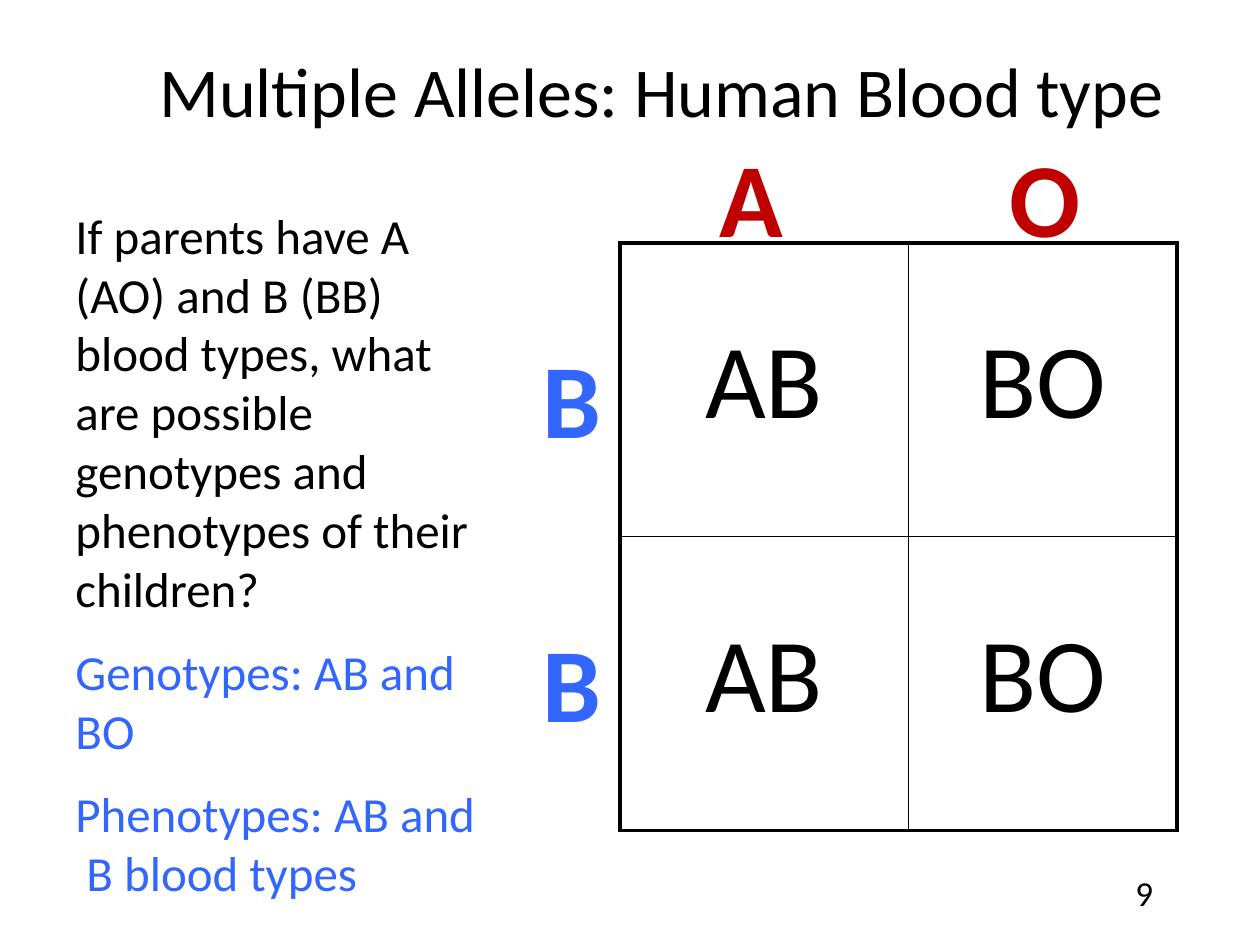
from lxml.etree import SubElement as Sub
from pptx import Presentation as Deck
from pptx.dml.color import RGBColor as Rgb
from pptx.enum.text import MSO_ANCHOR as Anchor, PP_ALIGN as Align
from pptx.oxml.ns import qn
from pptx.util import Inches, Pt

HUES = {"black": "000000", "white": "FFFFFF", "red": "C00000", "blue": "3366FF"}


class Page:
    font = "Calibri"

    def __init__(self, slide):
        self.slide = slide

    def label(self, par, text, size, hue="black", bold=False, align=Align.LEFT):
        par.alignment = align
        run = par.add_run()
        run.text = text
        form = {"name": self.font, "size": Pt(size), "bold": bold}
        for key, val in form.items():
            setattr(run.font, key, val)
        run.font.color.rgb = Rgb.from_string(HUES[hue])

    def text(self, box, lines, size, anchor=Anchor.TOP, gap=0, **style):
        frame = self.slide.shapes.add_textbox(*map(Inches, box)).text_frame
        form = {"word_wrap": True, "vertical_anchor": anchor}
        for key, val in form.items():
            setattr(frame, key, val)
        for i, (words, hue) in enumerate(lines):
            par = frame.add_paragraph() if i else frame.paragraphs[0]
            if i:
                par.space_before = Pt(gap)
            self.label(par, words, size, hue, **style)

    def edge(self, cell, side, width):
        line = Sub(cell._tc.get_or_add_tcPr(), qn(f"a:ln{side}"), w=str(Pt(width)))
        fill = Sub(line, qn("a:solidFill"))
        Sub(fill, qn("a:srgbClr"), val=HUES["black"])

    def table(self, box, wide, rows, size, thick, thin):
        high, across = len(rows), len(wide)
        grid = self.slide.shapes.add_table(high, across, *map(Inches, box)).table
        for key in ("first_row", "horz_banding"):
            setattr(grid, key, False)
        for col, width in zip(grid.columns, wide):
            col.width = Inches(width)
        for r, row in enumerate(rows):
            for c, words in enumerate(row):
                cell = grid.cell(r, c)
                outer = {"L": c == 0, "R": c == across - 1,
                         "T": r == 0, "B": r == high - 1}
                for side, rim in outer.items():
                    self.edge(cell, side, thick if rim else thin)
                cell.fill.solid()
                cell.fill.fore_color.rgb = Rgb.from_string(HUES["white"])
                cell.margin_top = Inches(0.6)
                par = cell.text_frame.paragraphs[0]
                self.label(par, words, size, align=Align.CENTER)


def main():
    deck = Deck()
    deck.slide_width, deck.slide_height = Inches(10), Inches(7.5)
    page = Page(deck.slides.add_slide(deck.slide_layouts[6]))
    page.text((1, 0.25, 8.5, 0.92), [("Multiple Alleles: Human Blood type", "black")],
              40, Anchor.MIDDLE, align=Align.CENTER)
    dad, mom = "AO", "BB"
    cross = [["AB", "BO"]] * len(mom)
    page.table((4.92, 1.93, 4.42, 4.66), (2.29, 2.13), cross, 60, 2.25, 1)
    page.text((0.5, 1.58, 3.42, 5.76), [
        ("If parents have A (AO) and B (BB) blood types, what are possible "
         "genotypes and phenotypes of their children?", "black"),
        ("Genotypes: AB and BO", "blue"),
        ("Phenotypes: AB and  B blood types", "blue"),
    ], 28, gap=14)
    marks = [(x, 1, gene, "red") for x, gene in zip((5.5, 7.83), dad)]
    marks += [(4.08, y, gene, "blue") for y, gene in zip((2.6, 4.85), mom)]
    for x, y, gene, hue in marks:
        page.text((x, y, 0.92, 1.1), [(gene, hue)], 60, bold=True, align=Align.CENTER)
    page.text((7.17, 6.83, 2.08, 0.5), [("9", "black")], 20, Anchor.MIDDLE,
              align=Align.RIGHT)
    deck.save("out.pptx")


if __name__ == "__main__":
    main()
